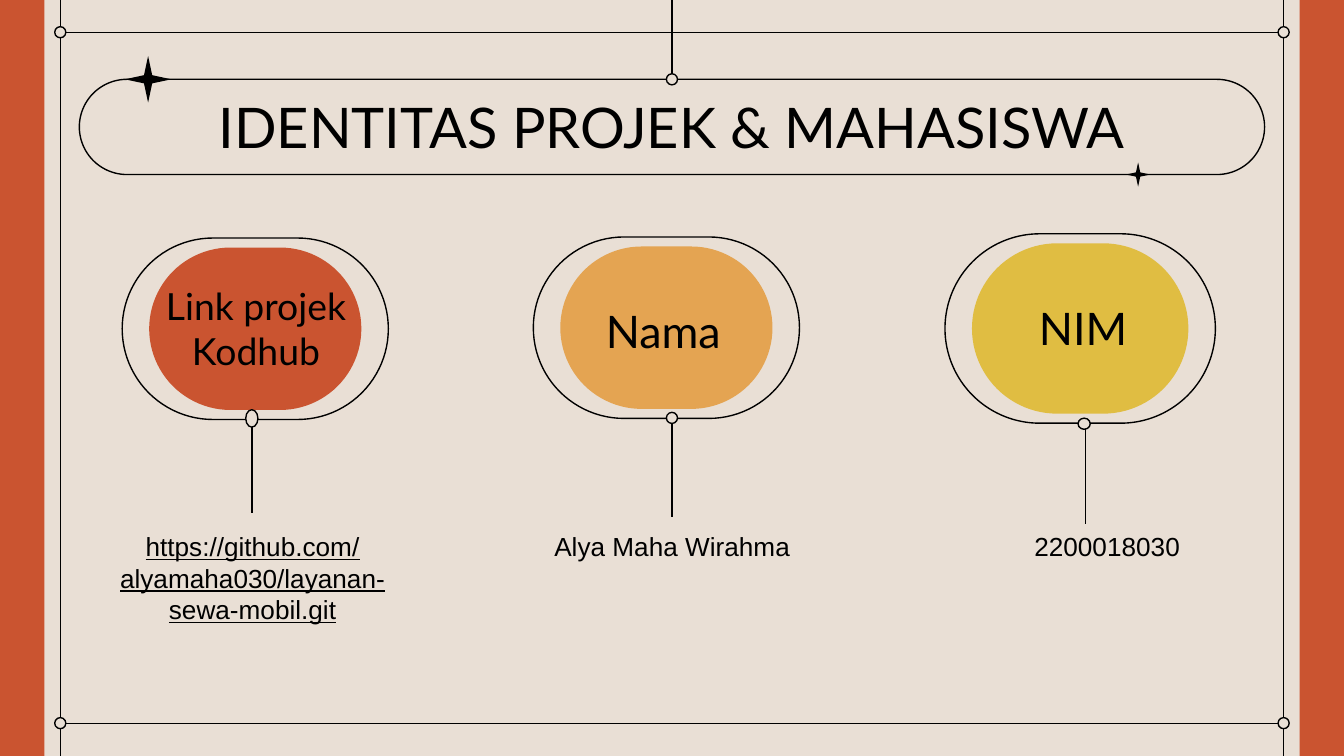
from lxml import etree
from pptx import Presentation
from pptx import util as u
from pptx.dml.color import RGBColor
from pptx.enum import shapes, text
from pptx.oxml.ns import qn

WIDTH, HEIGHT = 25.4, 14.29
INK, PAPER, RUST, ORANGE, YELLOW = "000000", "E9DFD5", "CA5430", "E4A452", "E0BD42"
KIND = shapes.MSO_SHAPE


def colour(hex_code):
    return RGBColor.from_string(hex_code)


class Poster:
    """Holds the style and the current slide; all lengths are in centimetres."""
    stroke = u.Pt(0.75)
    inset = u.Cm(0.25)

    def __init__(self, slide):
        self.slide = slide
        slide.background.fill.solid()
        slide.background.fill.fore_color.rgb = colour(PAPER)

    def shape(self, kind, x, y, w, h, fill=None, line=None):
        shape = self.slide.shapes.add_shape(kind, u.Cm(x), u.Cm(y), u.Cm(w), u.Cm(h))
        shape.shadow.inherit = False
        if fill:
            shape.fill.solid()
            shape.fill.fore_color.rgb = colour(fill)
        else:
            shape.fill.background()
        if line:
            shape.line.color.rgb = colour(line)
            shape.line.width = self.stroke
        else:
            shape.line.fill.background()
        return shape

    def pill(self, x, y, w, h, fill=None, line=None):
        self.shape(KIND.ROUNDED_RECTANGLE, x, y, w, h, fill, line).adjustments[0] = 0.5

    def star(self, x, y, size):
        star = self.shape(KIND.STAR_4_POINT, x - size / 2, y - size / 2, size, size, INK)
        star.adjustments[0] = 0.125

    def knob(self, x, y, w=0.21, h=0.21):
        self.shape(KIND.OVAL, x - w / 2, y - h / 2, w, h, PAPER, INK)

    def line(self, x1, y1, x2, y2):
        line = self.slide.shapes.add_connector(
            shapes.MSO_CONNECTOR.STRAIGHT, u.Cm(x1), u.Cm(y1), u.Cm(x2), u.Cm(y2))
        line.line.color.rgb = colour(INK)
        line.line.width = self.stroke
        etree.SubElement(line._element.spPr, qn("a:effectLst"))

    def text(self, words, x, y, w, h, size, font, middle=False, underline=None):
        frame = self.slide.shapes.add_textbox(u.Cm(x), u.Cm(y), u.Cm(w), u.Cm(h)).text_frame
        frame.word_wrap = True
        frame.margin_left = frame.margin_right = self.inset
        frame.margin_top = frame.margin_bottom = self.inset
        frame.vertical_anchor = text.MSO_ANCHOR.MIDDLE if middle else text.MSO_ANCHOR.TOP
        paragraph = frame.paragraphs[0]
        paragraph.text = words
        paragraph.alignment = text.PP_ALIGN.CENTER
        paragraph.font.size = u.Pt(size)
        paragraph.font.name = font
        paragraph.font.underline = underline
        paragraph.font.color.rgb = colour(INK)


def main():
    deck = Presentation()
    deck.slide_width, deck.slide_height = u.Cm(WIDTH), u.Cm(HEIGHT)
    poster = Poster(deck.slides.add_slide(deck.slide_layouts[6]))

    # Side bars
    bar = 0.84
    for x in (0, WIDTH - bar):
        poster.shape(KIND.RECTANGLE, x, 0, bar, HEIGHT, RUST)

    # Frame with a knob on each crossing
    columns, rows = (1.14, WIDTH - 1.14), (0.61, 13.67)
    for x in columns:
        poster.line(x, 0, x, HEIGHT)
    for y in rows:
        poster.line(columns[0], y, columns[1], y)
    for x in columns:
        for y in rows:
            poster.knob(x, y)

    # Heading
    poster.pill(1.5, 1.5, 22.4, 1.8, line=INK)
    poster.star(2.8, 1.5, 0.88)
    poster.star(21.51, 3.3, 0.46)
    poster.line(WIDTH / 2, 0, WIDTH / 2, 1.4)
    poster.knob(WIDTH / 2, 1.5)
    poster.text("IDENTITAS PROJEK & MAHASISWA", 2, 1.5, 21.4, 1.6, 30, "Lato")

    # Identity badges: label, size, fill, ring, label left and width,
    # stem x and end, knob centre and size, value, value left, underline
    badges = [
        ("Link projek Kodhub", 20, RUST, (2.31, 4.5, 5.03, 3.43), (2.82, 4.6, 4.04),
         (4.76, 9.7), (4.76, 7.91, 0.23, 0.33),
         "https://github.com/alyamaha030/layanan-sewa-mobil.git", 1.65, True),
        ("Nama", 24, ORANGE, (10.08, 4.48, 5.03, 3.43), (10.59, 4.65, 3.89),
         (12.7, 9.78), (12.7, 7.9, 0.21, 0.21), "Alya Maha Wirahma", 9.58, None),
        ("NIM", 24, YELLOW, (17.86, 4.42, 5.11, 3.58), (18.36, 4.6, 4.22),
         (20.52, 9.9), (20.49, 8.01, 0.23, 0.21), "2200018030", 17.8, None),
    ]
    gap_x, gap_y = 0.51, 0.18
    for label, size, fill, ring, place, stem, knob, value, value_x, underline in badges:
        x, y, w, h = ring
        poster.pill(*ring, line=INK)
        poster.pill(x + gap_x, y + gap_y, w - 2 * gap_x, h - 2 * gap_y, fill)
        poster.line(stem[0], knob[1], *stem)
        poster.knob(*knob)
        poster.text(label, *place, 3.2, size, "Lato", middle=True)
        poster.text(value, value_x, 9.78, 6.25, 1.8, 14, "Arial", underline=underline)

    deck.save("out.pptx")


if __name__ == "__main__":
    main()
